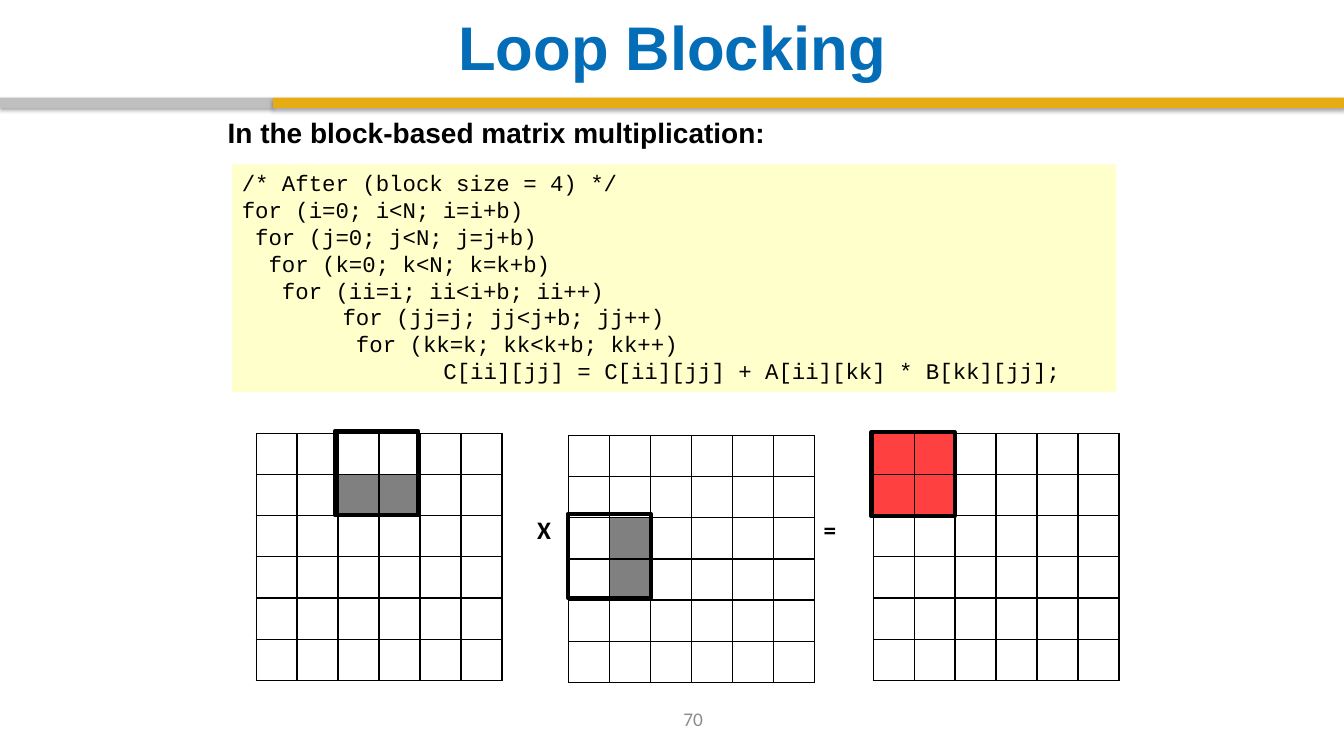
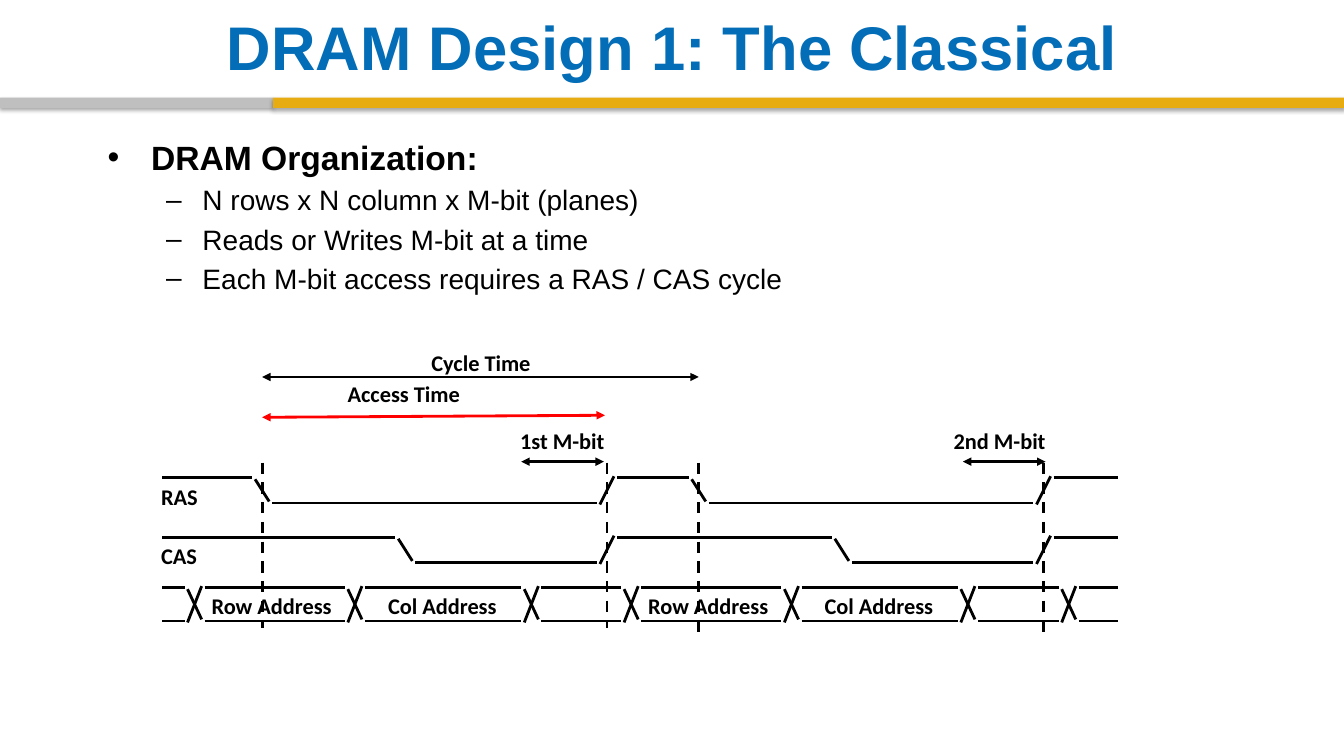
from lxml import etree
from pptx import Presentation
from pptx import util as u
from pptx.dml import color
from pptx.enum import dml, shapes, text
from pptx.oxml import ns

COLORS = {
    "black": "000000", "white": "FFFFFF", "blue": "036DB7", "gold": "E7AC11",
    "silver": "BFBFBF", "gray": "808080", "red": "FF0000", "code": "FFFFCC",
    "number": "8C8C8C",
}
SANS, LABEL, MONO = "Arial", "Calibri", "Courier New"

CODE = [
    "/* After (block size = 4) */",
    "for (i=0; i<N; i=i+b)",
    " for (j=0; j<N; j=j+b)",
    "  for (k=0; k<N; k=k+b)",
    "   for (ii=i; ii<i+b; ii++)",
    "\tfor (jj=j; jj<j+b; jj++)",
    "\t for (kk=k; kk<k+b; kk++)",
    "   \t\tC[ii][jj] = C[ii][jj] + A[ii][kk] * B[kk][jj];",
]
CODE_TABS = (1, 2)

# Matrix grids: left, top, highlighted cells (row, column), colour, opacity
GRID_SIZE = 6
GRID_WIDTH, GRID_HEIGHT = 2.44, 2.45
MATRICES = [
    (2.54, 4.3, {(1, 2), (1, 3)}, "gray", 100),
    (5.64, 4.32, {(2, 1), (3, 1)}, "gray", 100),
    (8.66, 4.3, {(0, 0), (0, 1), (1, 0), (1, 1)}, "red", 75),
]
BLOCK_FRAMES = [(3.32, 4.28), (5.63, 5.1), (8.64, 4.29)]
BLOCK_SIDE = 0.83

# Timing diagram
TIME_START, TIME_END = 1.61, 11.09
CYCLE = 4.33
EDGE_WIDTH, EDGE_GAP = 0.14, 0.03
EDGE_OVERSHOOT = 0.015


# Basic helpers
def rgb(name):
    return color.RGBColor.from_string(COLORS[name])


def add_xml(parent, tag, **attributes):
    return etree.SubElement(parent, ns.qn(tag), attributes)


def box(left, top, width, height):
    return [u.Inches(value) for value in (left, top, width, height)]


def style_runs(paragraph, size, font, color_name, bold):
    for run in paragraph.runs:
        run.font.size = u.Pt(size)
        run.font.name = font
        run.font.bold = bold
        run.font.color.rgb = rgb(color_name)


def add_text(slide, area, content, size, font=LABEL, color_name="black",
             bold=False, centered=False, wrap=False):
    shape = slide.shapes.add_textbox(*box(*area))
    frame = shape.text_frame
    frame.word_wrap = wrap
    frame.text = content
    if centered:
        frame.vertical_anchor = text.MSO_ANCHOR.MIDDLE
    for paragraph in frame.paragraphs:
        if centered:
            paragraph.alignment = text.PP_ALIGN.CENTER
        style_runs(paragraph, size, font, color_name, bold)
    return shape


def add_rectangle(slide, area, fill=None, line_width=None):
    shape = slide.shapes.add_shape(shapes.MSO_SHAPE.RECTANGLE, *box(*area))
    shape.shadow.inherit = False
    if fill:
        shape.fill.solid()
        shape.fill.fore_color.rgb = rgb(fill)
    else:
        shape.fill.background()
    if line_width:
        shape.line.color.rgb = rgb("black")
        shape.line.width = u.Pt(line_width)
    else:
        shape.line.fill.background()
    return shape


def add_line(slide, start, end, color_name="black", dashed=False, arrows=False):
    points = [u.Inches(value) for value in (*start, *end)]
    line = slide.shapes.add_connector(shapes.MSO_CONNECTOR.STRAIGHT, *points)
    line.line.color.rgb = rgb(color_name)
    line.line.width = u.Pt(2)
    if dashed:
        line.line.dash_style = dml.MSO_LINE.DASH
    properties = line._element.spPr
    if arrows:
        outline = properties.find(ns.qn("a:ln"))
        add_xml(outline, "a:headEnd", type="triangle")
        add_xml(outline, "a:tailEnd", type="triangle")
    add_xml(properties, "a:effectLst")


# Shared slide parts
def add_band(slide, left, width, fill):
    band = add_rectangle(slide, (left, 0.97, width, 0.1), fill)
    effects = band._element.spPr.find(ns.qn("a:effectLst"))
    shadow = add_xml(effects, "a:outerShdw", blurRad=str(u.Pt(3.1)),
                     dist=str(u.Pt(1.8)), dir="5400000", rotWithShape="0")
    shade = add_xml(shadow, "a:srgbClr", val=COLORS["black"])
    add_xml(shade, "a:alpha", val="35000")


def add_base_slide(presentation, title):
    slide = presentation.slides.add_slide(presentation.slide_layouts[6])
    add_band(slide, 0, 2.71, "silver")
    add_band(slide, 2.71, 10.62, "gold")
    add_text(slide, (0.67, 0.08, 12, 0.76), title, 44, SANS, "blue",
             bold=True, centered=True, wrap=True)
    return slide


# Loop blocking parts
def add_code(slide, area, lines):
    shape = add_rectangle(slide, area, "code")
    frame = shape.text_frame
    frame.word_wrap = True
    frame.vertical_anchor = text.MSO_ANCHOR.TOP
    frame.text = "\n".join(lines)
    for paragraph in frame.paragraphs:
        paragraph.alignment = text.PP_ALIGN.LEFT
        tabs = add_xml(paragraph._p.get_or_add_pPr(), "a:tabLst")
        for position in CODE_TABS:
            add_xml(tabs, "a:tab", pos=str(u.Inches(position)), algn="l")
        style_runs(paragraph, 16, MONO, "black", False)


def style_cell(cell, fill, opacity):
    cell.margin_top = cell.margin_bottom = 0
    properties = cell._tc.get_or_add_tcPr()
    for side in ("a:lnL", "a:lnR", "a:lnT", "a:lnB"):
        border = add_xml(properties, side, w=str(u.Pt(1)))
        add_xml(add_xml(border, "a:solidFill"), "a:srgbClr", val=COLORS["black"])
    cell.fill.solid()
    cell.fill.fore_color.rgb = rgb(fill)
    if opacity < 100:
        shade = properties.find(ns.qn("a:solidFill")).find(ns.qn("a:srgbClr"))
        add_xml(shade, "a:alpha", val=str(opacity * 1000))


def add_matrix(slide, left, top, marked, mark_color, opacity):
    area = box(left, top, GRID_WIDTH, GRID_HEIGHT)
    table = slide.shapes.add_table(GRID_SIZE, GRID_SIZE, *area).table
    table.first_row = table.horz_banding = False
    for column in table.columns:
        column.width = u.Inches(GRID_WIDTH / GRID_SIZE)
    for row_index, row in enumerate(table.rows):
        row.height = u.Inches(GRID_HEIGHT / GRID_SIZE)
        for column_index, cell in enumerate(row.cells):
            if (row_index, column_index) in marked:
                style_cell(cell, mark_color, opacity)
            else:
                style_cell(cell, "white", 100)


def build_loop_blocking(presentation):
    slide = add_base_slide(presentation, "Loop Blocking")
    add_text(slide, (2.16, 1.1, 5.57, 0.44),
             "In the block-based matrix multiplication:", 20, SANS, bold=True)
    add_code(slide, (2.3, 1.63, 8.77, 2.26), CODE)
    for matrix in MATRICES:
        add_matrix(slide, *matrix)
    for left, top in BLOCK_FRAMES:
        add_rectangle(slide, (left, top, BLOCK_SIDE, BLOCK_SIDE), line_width=2.75)
    for left, symbol in ((5.23, "X"), (8.07, "=")):
        add_text(slide, (left, 5.05, 0.34, 0.4), symbol, 18, bold=True)
    add_text(slide, (5.32, 6.93, 3.11, 0.4), "70", 13.8, color_name="number",
             centered=True, wrap=True)


# DRAM parts
def add_bullets(slide, area, items):
    frame = slide.shapes.add_textbox(*box(*area)).text_frame
    frame.word_wrap = True
    frame.text = "\n".join(content for _, content in items)
    for index, (level, _) in enumerate(items):
        paragraph = frame.paragraphs[index]
        mark, margin, indent, size = (("•", 0.43, -0.43, 24),
                                      ("–", 0.94, -0.36, 20))[level]
        paragraph.level = level
        if index:
            paragraph.space_before = u.Pt(4)
        properties = paragraph._p.get_or_add_pPr()
        properties.set("marL", str(u.Inches(margin)))
        properties.set("indent", str(u.Inches(indent)))
        add_xml(properties, "a:buFont", typeface=SANS)
        add_xml(properties, "a:buChar", char=mark)
        style_runs(paragraph, size, SANS, "black", level == 0)


def add_label(slide, left, top, content, width):
    add_text(slide, (left, top, width, 0.37), content, 16, bold=True)


def add_edge(slide, x, high, low, falling):
    if falling:
        start, end = high + EDGE_OVERSHOOT, low - EDGE_OVERSHOOT
    else:
        start, end = low + EDGE_OVERSHOOT, high - EDGE_OVERSHOOT
    add_line(slide, (x, start), (x + EDGE_WIDTH, end))


def level_spans(edges):
    starts = [TIME_START] + [x + EDGE_WIDTH + EDGE_GAP for x in edges]
    ends = [x - EDGE_GAP for x in edges] + [TIME_END]
    return zip(starts, ends)


def add_signal(slide, name, high, edges):
    low = high + 0.25
    for index, (start, end) in enumerate(level_spans(edges)):
        y = low if index % 2 else high
        add_line(slide, (start, y), (end, y))
    for index, x in enumerate(edges):
        add_edge(slide, x, high, low, falling=index % 2 == 0)
    add_label(slide, 1.5, high, name, 0.57)


def add_address_bus(slide, high, low, crossings):
    for start, end in level_spans(crossings):
        for y in (high, low):
            add_line(slide, (start, y), (end, y))
    for x in crossings:
        for falling in (True, False):
            add_edge(slide, x, high, low, falling)
    for offset in (0, CYCLE):
        add_label(slide, 2 + offset, high, "Row Address", 1.41)
        add_label(slide, 3.75 + offset, high, "Col Address", 1.29)


def add_timing_diagram(slide):
    # Signals
    add_signal(slide, "RAS", 4.74, [2.53, 5.95, 2.53 + CYCLE, 5.95 + CYCLE])
    add_signal(slide, "CAS", 5.33, [3.95, 5.95, 3.95 + CYCLE, 5.95 + CYCLE])
    first_crossings = [1.86, 3.45, 5.2]
    crossings = first_crossings + [x + CYCLE for x in first_crossings]
    add_address_bus(slide, 5.83, 6.16, crossings + [1.87 + 2 * CYCLE])

    # Time marks
    for x, bottom in ((2.6, 6.23), (6.02, 6.23),
                      (2.6 + CYCLE, 6.31), (6.02 + CYCLE, 6.31)):
        add_line(slide, (x, 4.59), (x, bottom), dashed=True)

    # Measured intervals
    add_line(slide, (2.6, 3.74), (2.6 + CYCLE, 3.74), arrows=True)
    add_line(slide, (2.6, 4.14), (6, 4.12), "red", arrows=True)
    for left in (5.17, 9.55):
        add_line(slide, (left, 4.58), (left + 0.82, 4.58), arrows=True)
    for left, top, content, width in (
            (4.18, 3.41, "Cycle Time", 1.19), (3.35, 3.72, "Access Time", 1.33),
            (5.06, 4.19, "1st M-bit", 1.05), (9.36, 4.19, "2nd M-bit", 1.12)):
        add_label(slide, left, top, content, width)


def build_dram_design(presentation):
    slide = add_base_slide(presentation, "DRAM Design 1: The Classical")
    add_bullets(slide, (0.97, 1.31, 8.8, 1.9), [
        (0, "DRAM Organization:"),
        (1, "N rows x N column x M-bit (planes)"),
        (1, "Reads or Writes M-bit at a time"),
        (1, "Each M-bit access requires a RAS / CAS cycle"),
    ])
    add_timing_diagram(slide)


def main():
    presentation = Presentation()
    presentation.slide_width = u.Inches(13.33)
    presentation.slide_height = u.Inches(7.5)
    build_loop_blocking(presentation)
    build_dram_design(presentation)
    presentation.save("out.pptx")


if __name__ == "__main__":
    main()
